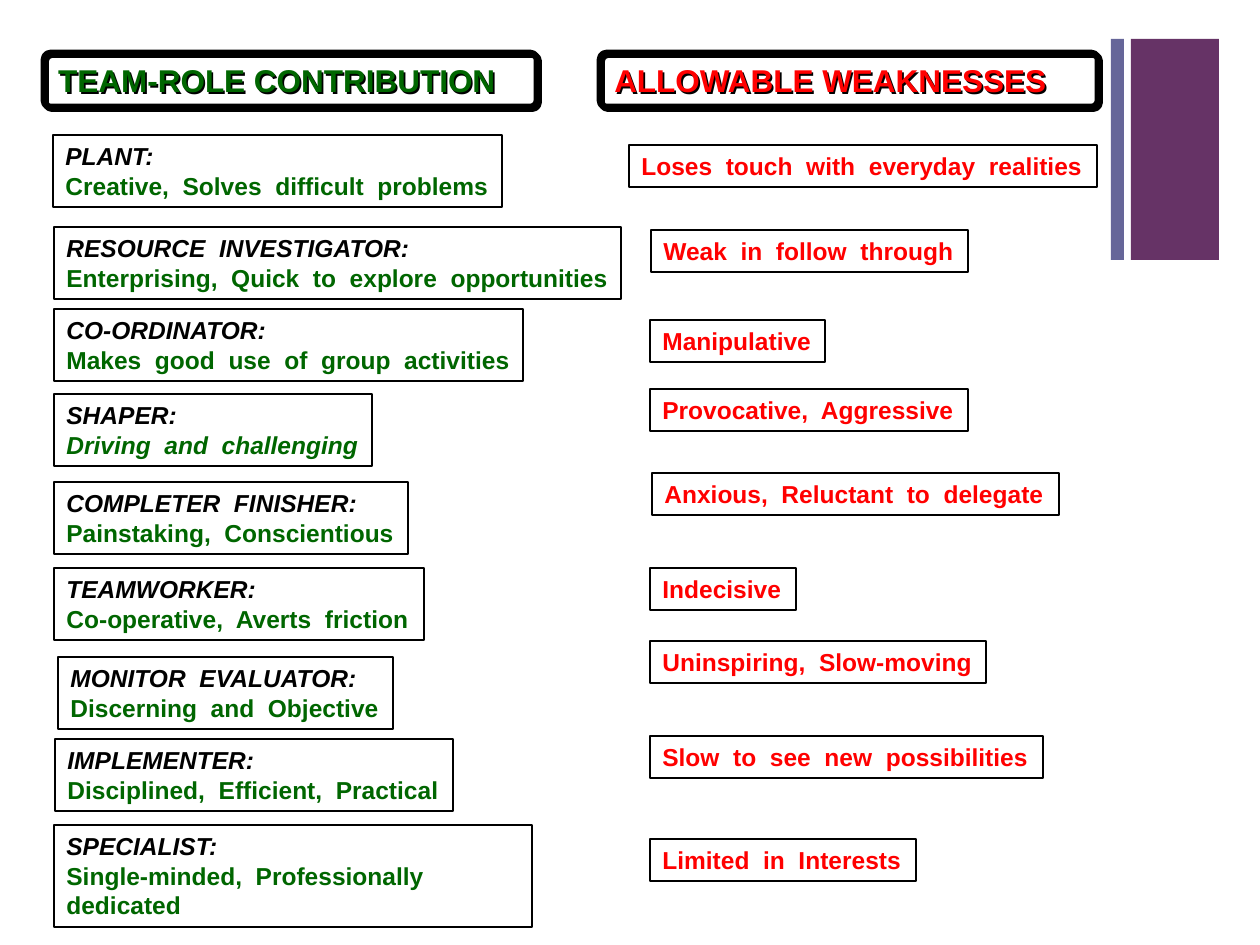
import lxml.etree
import pptx
import pptx.dml.color
import pptx.enum.shapes
import pptx.enum.text
import pptx.oxml.ns
import pptx.util

PIXELS_PER_INCH = 126
COLORS = {"black": "000000", "green": "006600", "red": "FF0000",
          "purple": "663366", "slate": "666699"}
LINE_HEIGHT = 30
ENTRY_PADDING = 12

BASE_FORMAT = {"name": "Arial", "bold": True}
HEADING_FORMAT = {**BASE_FORMAT, "size": pptx.util.Pt(18)}
ENTRY_FORMAT = {**BASE_FORMAT, "size": pptx.util.Pt(14), "italic": False}
ROLE_FORMAT = {**ENTRY_FORMAT, "italic": True}

CONTRIBUTIONS = [
    (9, 82, 449, 2, "PLANT:", "Creative,  Solves  difficult  problems"),
    (10, 174, 567, 2, "RESOURCE  INVESTIGATOR:",
     "Enterprising,  Quick  to  explore  opportunities"),
    (10, 256, 469, 2, "CO-ORDINATOR:", "Makes  good  use  of  group  activities"),
    (10, 341, 318, 2, "SHAPER:", "Driving  and  challenging"),
    (10, 429, 354, 2, "COMPLETER  FINISHER:", "Painstaking,  Conscientious"),
    (10, 515, 370, 2, "TEAMWORKER:", "Co-operative,  Averts  friction"),
    (14, 604, 335, 2, "MONITOR  EVALUATOR:", "Discerning  and  Objective"),
    (11, 686, 398, 2, "IMPLEMENTER:", "Disciplined,  Efficient,  Practical"),
    (10, 772, 478, 3, "SPECIALIST:", "Single-minded,  Professionally  dedicated"),
]
WEAKNESSES = [
    (29, 92, 468, "Loses  touch  with  everyday  realities"),
    (51, 177, 317, "Weak  in  follow  through"),
    (50, 267, 175, "Manipulative"),
    (50, 336, 318, "Provocative,  Aggressive"),
    (52, 420, 407, "Anxious,  Reluctant  to  delegate"),
    (50, 515, 146, "Indecisive"),
    (50, 588, 336, "Uninspiring,  Slow-moving"),
    (50, 683, 393, "Slow  to  see  new  possibilities"),
    (50, 786, 266, "Limited  in  Interests"),
]


def px(length):
    return round(length * pptx.util.Inches(1) / PIXELS_PER_INCH)


def color(name):
    return pptx.dml.color.RGBColor.from_string(COLORS[name])


def set_outline(shape, width):
    shape.line.color.rgb = color("black")
    shape.line.width = pptx.util.Pt(width)


def write_lines(shape, lines, wrap):
    frame = shape.text_frame
    frame.word_wrap = wrap
    frame.auto_size = pptx.enum.text.MSO_AUTO_SIZE.SHAPE_TO_FIT_TEXT
    frame.vertical_anchor = pptx.enum.text.MSO_ANCHOR.TOP
    for index, (text, color_name, text_format) in enumerate(lines):
        paragraph = frame.paragraphs[0] if index == 0 else frame.add_paragraph()
        paragraph.alignment = pptx.enum.text.PP_ALIGN.LEFT
        run = paragraph.add_run()
        run.text = text
        for attribute, value in text_format.items():
            setattr(run.font, attribute, value)
        run.font.color.rgb = color(color_name)


def add_hard_shadow(shape):
    qn = pptx.oxml.ns.qn
    effects = lxml.etree.SubElement(shape.element.spPr, qn("a:effectLst"))
    shadow = lxml.etree.SubElement(
        effects, qn("a:outerShdw"), dist=str(pptx.util.Pt(1.4)),
        dir="2700000", algn="ctr", rotWithShape="0")
    lxml.etree.SubElement(shadow, qn("a:srgbClr"), val=COLORS["black"])


def add_heading(slide, box, text, color_name):
    shape = slide.shapes.add_shape(
        pptx.enum.shapes.MSO_SHAPE.ROUNDED_RECTANGLE, *map(px, box))
    shape.adjustments[0] = 0.12
    shape.fill.background()
    set_outline(shape, 3.75)
    add_hard_shadow(shape)
    write_lines(shape, [(text, color_name, HEADING_FORMAT)], True)


def add_entry(slide, box, lines, wrap=False):
    shape = slide.shapes.add_textbox(*map(px, box))
    set_outline(shape, 1)
    write_lines(shape, lines, wrap)


def add_contributions(slide, box):
    left, top, width, heading_height = box
    add_heading(slide, box, "TEAM-ROLE CONTRIBUTION", "green")
    for dx, dy, entry_width, line_count, role, contribution in CONTRIBUTIONS:
        height = ENTRY_PADDING + line_count * LINE_HEIGHT
        contribution_format = ROLE_FORMAT if role == "SHAPER:" else ENTRY_FORMAT
        lines = [(role, "black", ROLE_FORMAT),
                 (contribution, "green", contribution_format)]
        add_entry(slide, (left + dx, top + dy, entry_width, height), lines,
                  wrap=line_count > 2)


def add_weaknesses(slide, box):
    left, top, width, heading_height = box
    add_heading(slide, box, "ALLOWABLE WEAKNESSES", "red")
    for dx, dy, entry_width, weakness in WEAKNESSES:
        entry_box = (left + dx, top + dy, entry_width, ENTRY_PADDING + LINE_HEIGHT)
        add_entry(slide, entry_box, [(weakness, "red", ENTRY_FORMAT)])


def add_side_bars(slide, box):
    left, top, width, height = box
    for dx, bar_width, color_name in ((20, width - 20, "purple"), (0, 13, "slate")):
        bar = slide.shapes.add_shape(
            pptx.enum.shapes.MSO_SHAPE.RECTANGLE,
            *map(px, (left + dx, top, bar_width, height)))
        bar.shadow.inherit = False
        bar.fill.solid()
        bar.fill.fore_color.rgb = color(color_name)
        bar.line.fill.background()


def main():
    presentation = pptx.Presentation()
    presentation.slide_width = px(1260)
    presentation.slide_height = px(945)
    slide = presentation.slides.add_slide(presentation.slide_layouts[6])
    add_side_bars(slide, (1111, 39, 108, 221))
    add_contributions(slide, (44, 53, 493, 54))
    add_weaknesses(slide, (600, 53, 498, 54))
    presentation.save("out.pptx")


if __name__ == "__main__":
    main()
